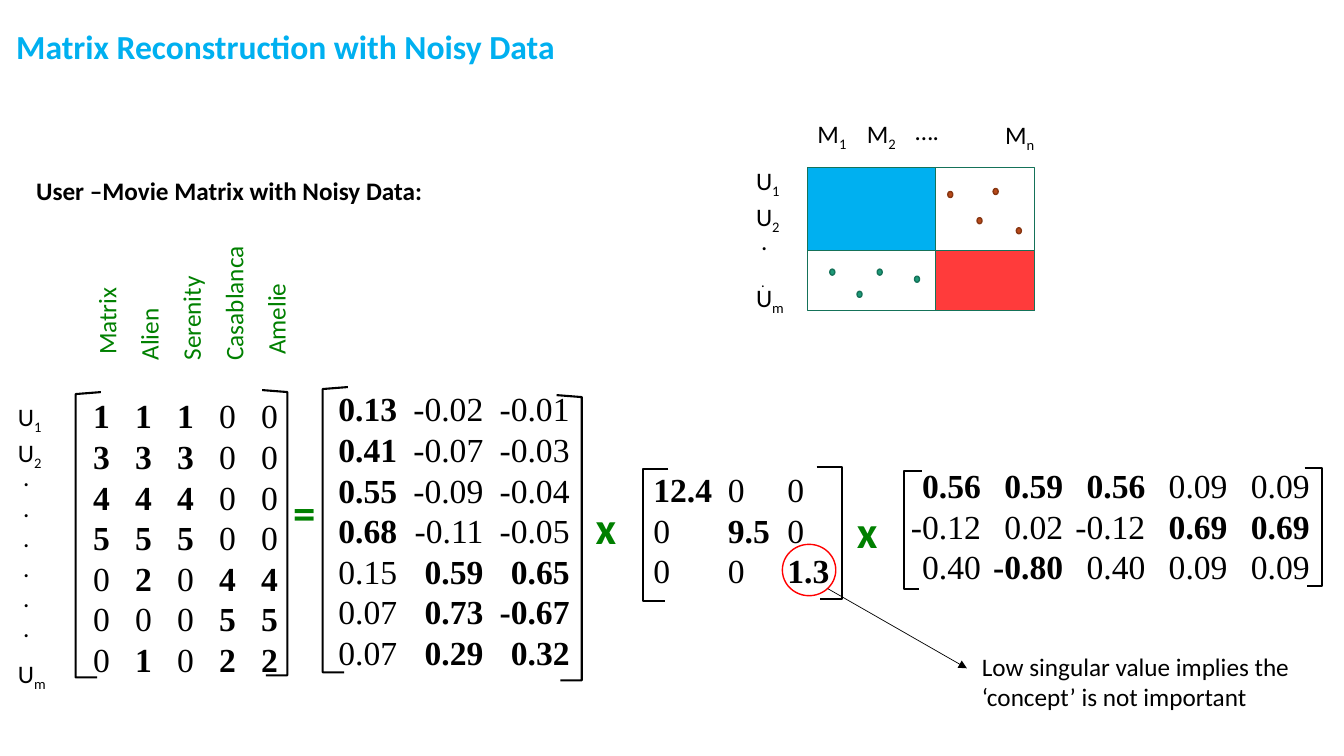
from collections import namedtuple

from lxml.etree import SubElement
from pptx import Presentation
from pptx.dml.color import RGBColor
from pptx.enum.shapes import MSO_CONNECTOR as Connector, MSO_SHAPE as Preset
from pptx.enum.text import MSO_ANCHOR as Anchor, MSO_AUTO_SIZE as AutoSize, PP_ALIGN as Align
from pptx.oxml.ns import qn
from pptx.util import Inches, Pt

Box = namedtuple("Box", "left top width height")

COLORS = {
    "title": "00B0F0",
    "text": "000000",
    "accent": "008000",
    "block": "00B0F0",
    "noise": "FF3B3B",
    "frame": "157259",
    "green_dot": "1D9A78",
    "brown_dot": "B74919",
    "brown_edge": "873612",
    "highlight": "FF0000",
}
BODY_FONT = "Calibri"
MATRIX_FONT = "Times New Roman"


def color(name):
    return RGBColor.from_string(COLORS[name])


def inches(values):
    return [Inches(value) for value in values]


def format_run(run, size, color_name, bold=False, font=BODY_FONT):
    run.font.name = font
    run.font.size = Pt(size)
    run.font.bold = bold
    run.font.color.rgb = color(color_name)


def add_label(slide, box, text, size=18, color_name="text", bold=False, wrap=True, spacing=None):
    shape = slide.shapes.add_textbox(*inches(box))
    frame = shape.text_frame
    frame.word_wrap = wrap
    for index, line in enumerate(text.split("\n")):
        paragraph = frame.paragraphs[0] if index == 0 else frame.add_paragraph()
        paragraph.line_spacing = spacing
        base, _, subscript = line.partition("_")
        for part, offset in ((base, None), (subscript, "-25000")):
            if part:
                run = paragraph.add_run()
                run.text = part
                format_run(run, size, color_name, bold)
                if offset:
                    run.font._element.set("baseline", offset)
    return shape


def add_preset(slide, preset, box, line, fill=None):
    shape = slide.shapes.add_shape(preset, *inches(box))
    shape.shadow.inherit = False
    if fill:
        shape.fill.solid()
        shape.fill.fore_color.rgb = color(fill)
    else:
        shape.fill.background()
    shape.line.color.rgb = color(line)
    shape.line.width = Pt(1)
    return shape


def add_title(slide, box):
    title = slide.shapes.title
    title.left, title.top, title.width, title.height = inches(box)
    frame = title.text_frame
    frame.text = "Matrix Reconstruction with Noisy Data"
    frame.auto_size = AutoSize.NONE
    frame.vertical_anchor = Anchor.TOP
    paragraph = frame.paragraphs[0]
    paragraph.alignment = Align.LEFT
    format_run(paragraph.runs[0], 24, "title", True)


def add_user_labels(slide, box, dots):
    last = box.height - 0.4
    for text, offset in (("U_1", 0), ("U_2", 0.36), ("U_m", last)):
        add_label(slide, Box(box.left, box.top + offset, box.width, 0.4), text)
    add_label(slide, Box(box.left + 0.05, box.top + 0.6, box.width, last - 0.4), dots)


def add_block_diagram(slide, box):
    split_x, split_y = 0.565 * box.width, 0.58 * box.height
    add_preset(slide, Preset.RECTANGLE, box, "frame")
    add_preset(slide, Preset.RECTANGLE, Box(box.left, box.top, split_x, split_y), "frame", "block")
    noise = Box(box.left + split_x, box.top + split_y, box.width - split_x, box.height - split_y)
    add_preset(slide, Preset.RECTANGLE, noise, "frame", "noise")
    add_user_labels(slide, Box(box.left - 0.61, box.top - 0.07, 0.72, 1.56), ".\n_.")
    for text, offset, rise in (("M_1", 0, 0.54), ("M_2", 0.49, 0.54), ("….", 0.97, 0.57), ("M_n", 1.86, 0.53)):
        add_label(slide, Box(box.left + offset, box.top - rise, 0.77, 0.4), text)
    dot_groups = (
        ("green_dot", "frame", ((0.22, 1.01), (0.69, 1.01), (0.49, 1.23), (1.06, 1.08))),
        ("brown_dot", "brown_edge", ((1.39, 0.24), (1.84, 0.21), (1.68, 0.5), (2.07, 0.6))),
    )
    for fill, line, offsets in dot_groups:
        for x, y in offsets:
            add_preset(slide, Preset.OVAL, Box(box.left + x, box.top + y, 0.05, 0.06), line, fill)


def add_bracket(slide, spine, top, height, lip, drop):
    points = ((spine, top + drop), (spine, top + height), (spine + 0.85 * lip, top + height))
    builder = slide.shapes.build_freeform(Inches(spine + lip), Inches(top))
    builder.add_line_segments([inches(point) for point in points], close=False)
    bracket = builder.convert_to_shape()
    bracket.shadow.inherit = False
    bracket.fill.background()
    bracket.line.color.rgb = color("text")
    bracket.line.width = Pt(1.5)


def add_matrix(slide, box, rows, stops, align="r", text_shift=0, right_shift=0, lip=0.25, drop=0.0):
    shape = slide.shapes.add_textbox(*inches(box._replace(top=box.top + text_shift)))
    frame = shape.text_frame
    frame.word_wrap = True
    frame.margin_left = frame.margin_right = frame.margin_top = frame.margin_bottom = 0
    for index, row in enumerate(rows):
        paragraph = frame.paragraphs[0] if index == 0 else frame.add_paragraph()
        paragraph.line_spacing = Pt(29)
        tabs = SubElement(paragraph._p.get_or_add_pPr(), qn("a:tabLst"))
        for stop in stops:
            SubElement(tabs, qn("a:tab"), pos=str(Inches(stop)), algn=align)
        for cell in row.split():
            run = paragraph.add_run()
            run.text = "\t" + cell.lstrip("*")
            format_run(run, 24, "text", cell.startswith("*"), MATRIX_FONT)
    add_bracket(slide, box.left, box.top, box.height, lip, drop)
    add_bracket(slide, box.left + box.width, box.top + right_shift, box.height, -lip, drop)


def add_equation(slide, box):
    def place(left, top, width, height):
        return Box(box.left + left, box.top + top, width, height)

    ratings = ("*1 *1 *1 0 0", "*3 *3 *3 0 0", "*4 *4 *4 0 0", "*5 *5 *5 0 0",
               "0 *2 0 *4 *4", "0 0 0 *5 *5", "0 *1 0 *2 *2")
    users = ("*0.13 -0.02 -0.01", "*0.41 -0.07 -0.03", "*0.55 -0.09 -0.04", "*0.68 -0.11 -0.05",
             "0.15 *0.59 *0.65", "0.07 *0.73 *-0.67", "0.07 *0.29 *0.32")
    strengths = ("*12.4 0 0", "0 *9.5 0", "0 0 *1.3")
    movies = ("*0.56 *0.59 *0.56 0.09 0.09", "-0.12 0.02 -0.12 *0.69 *0.69",
              "0.40 *-0.80 0.40 0.09 0.09")

    add_user_labels(slide, place(0, 0.09, 0.72, 2.95), "\n".join("." * 6))
    add_matrix(slide, place(0.67, 0.05, 2.1, 2.83), ratings, [0.34 + 0.417 * i for i in range(5)],
               text_shift=0.03, right_shift=-0.02, drop=0.02)
    add_matrix(slide, place(3.12, 0, 2.57, 2.83), users, [0.74 + 0.855 * i for i in range(3)],
               text_shift=0.01, right_shift=0.08, drop=0.02)
    add_matrix(slide, place(6.3, 0.81, 1.97, 1.31), strengths, (0.1, 0.84, 1.43), "l",
               right_shift=-0.02)
    add_matrix(slide, place(8.89, 0.83, 4.14, 1.17), movies, [0.76 + 0.815 * i for i in range(5)],
               text_shift=-0.06, right_shift=-0.03, lip=0.17)
    for symbol, left, top in (("=", 2.73, 0.92), ("x", 5.73, 1.06), ("x", 8.32, 1.1)):
        operator = add_label(slide, place(left, top, 0.44, 0.64), symbol, 32, "accent", True, False)
        operator.text_frame.vertical_anchor = Anchor.MIDDLE


def add_movie_names(slide, box):
    names = add_label(slide, box, " Matrix\nAlien\nSerenity\nCasablanca\n Amelie",
                      color_name="accent", wrap=False, spacing=1.4)
    names.rotation = 270


def add_callout(slide, box):
    add_preset(slide, Preset.OVAL, Box(box.left, box.top, 0.53, 0.51), "highlight")
    ends = inches((box.left + 0.45, box.top + 0.44, box.left + 1.83, box.top + 1.23))
    arrow = slide.shapes.add_connector(Connector.STRAIGHT, *ends)
    arrow.line.color.rgb = color("text")
    arrow.line.width = Pt(0.5)
    SubElement(arrow.line._get_or_add_ln(), qn("a:tailEnd"), type="triangle")
    SubElement(arrow._element.spPr, qn("a:effectLst"))
    note = Box(box.left + 1.88, box.top + 1.01, box.width - 1.88, box.height - 1.01)
    add_label(slide, note, "Low singular value implies the ‘concept’ is not important")


def main():
    presentation = Presentation()
    presentation.slide_width, presentation.slide_height = inches((13.33, 7.5))
    slide = presentation.slides.add_slide(presentation.slide_layouts[5])
    add_title(slide, Box(0.06, 0.21, 7.5, 0.5))
    add_block_diagram(slide, Box(8.01, 1.66, 2.25, 1.42))
    add_label(slide, Box(0.26, 1.69, 4.76, 0.4), "User –Movie Matrix with Noisy Data:", bold=True)
    add_movie_names(slide, Box(1.15, 1.87, 1.39, 2.22))
    add_equation(slide, Box(0.08, 3.84, 13.03, 3.04))
    add_callout(slide, Box(7.76, 5.4, 5.49, 1.72))
    presentation.save("out.pptx")


if __name__ == "__main__":
    main()
